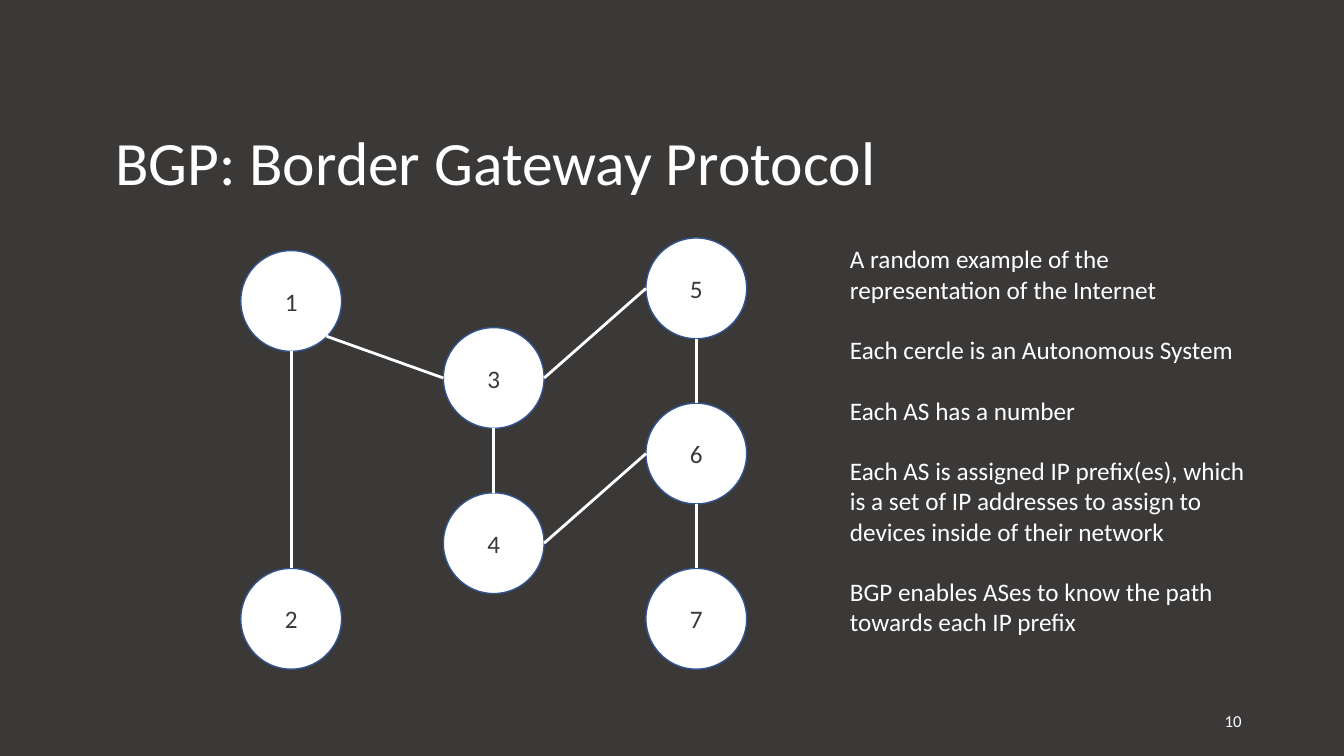
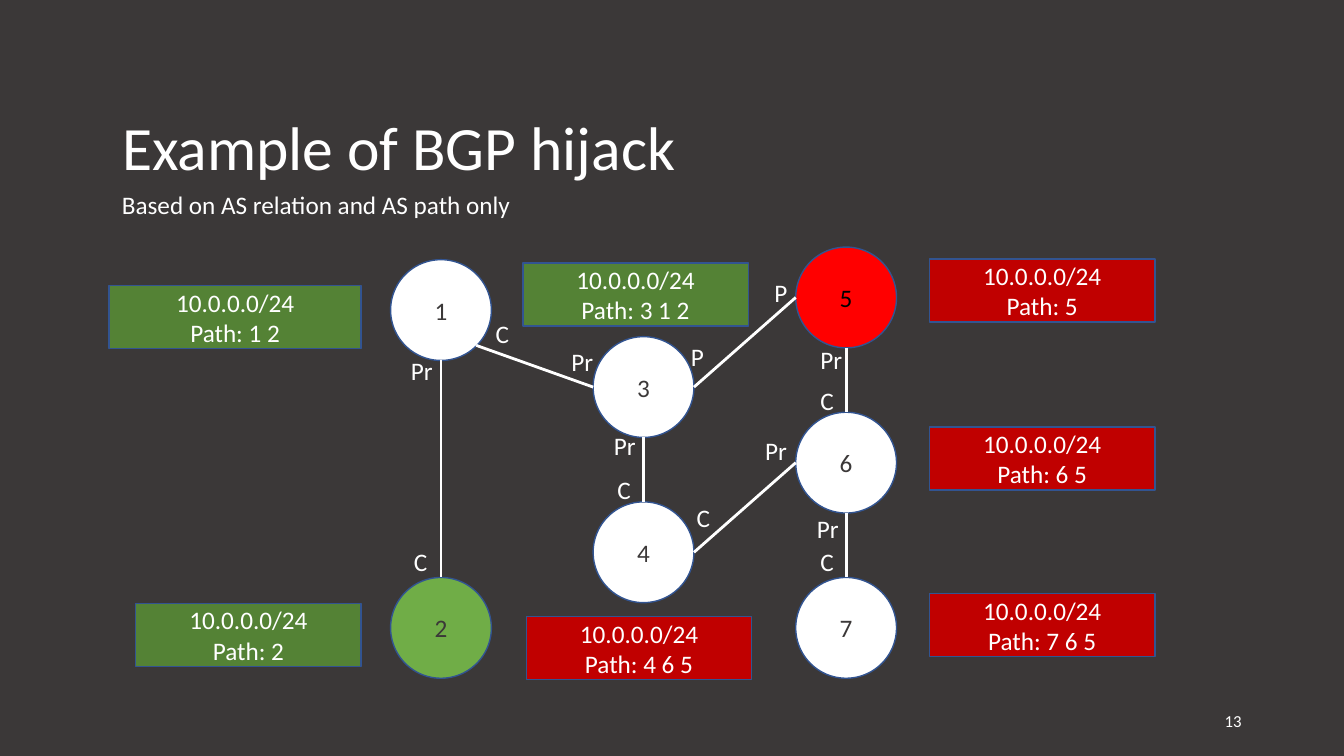
from lxml import etree
from pptx import Presentation
from pptx.dml.color import RGBColor
from pptx.enum.shapes import MSO_CONNECTOR, MSO_SHAPE
from pptx.enum.text import MSO_ANCHOR, MSO_AUTO_SIZE, PP_ALIGN
from pptx.oxml.ns import qn
from pptx.util import Pt

OVAL, RECT, LINE = MSO_SHAPE.OVAL, MSO_SHAPE.RECTANGLE, MSO_CONNECTOR.STRAIGHT
LEFT, CENTER, RIGHT = PP_ALIGN.LEFT, PP_ALIGN.CENTER, PP_ALIGN.RIGHT
TOP, MIDDLE = MSO_ANCHOR.TOP, MSO_ANCHOR.MIDDLE

COLORS = {
    "bg": "3B3838", "white": "FFFFFF", "black": "000000", "outline": "325491",
    "origin": "70AD47", "hijacker": "FF0000", "valid": "548235", "hijacked": "C00000",
}

# Text formats
FONT = {"name": "Calibri", "size": Pt(18)}
TITLE_FONT = {**FONT, "size": Pt(44)}
NUMBER_FONT = {**FONT, "size": Pt(12)}
FRAME = {"word_wrap": True, "auto_size": MSO_AUTO_SIZE.NONE}

# Network: three columns of nodes, stacked at one pitch
NODE, COL, PITCH = 72, 144.7, 118
NODES = {
    "1": (0, 0), "2": (0, 227),
    "3": (COL, 55), "4": (COL, 55 + PITCH),
    "5": (2 * COL, -9), "6": (2 * COL, -9 + PITCH), "7": (2 * COL, -9 + 2 * PITCH),
}
# Points on a node's rim, as fractions of its size
RIM = {"top": (0.5, 0), "left": (0, 0.5), "bottom": (0.5, 1), "right": (1, 0.5),
       "corner": (0.85, 0.85)}
LINKS = [
    ("1", "bottom", "2", "top"), ("3", "left", "1", "corner"),
    ("5", "left", "3", "right"), ("5", "bottom", "6", "top"),
    ("3", "bottom", "4", "top"), ("4", "right", "6", "left"),
    ("6", "bottom", "7", "top"),
]

NOTES = [
    "A random example of the representation of the Internet",
    "Each cercle is an Autonomous System",
    "Each AS has a number",
    "Each AS is assigned IP prefix(es), which is a set of IP addresses to assign to "
    "devices inside of their network",
    "BGP enables ASes to know the path towards each IP prefix",
]

# Route boxes: AS path, state, left, top, width
PREFIX = "10.0.0.0/24"
ROUTES = [
    ("2", "valid", 97, 431, 161), ("1 2", "valid", 78, 204, 180),
    ("3 1 2", "valid", 373.5, 188, 161), ("5", "hijacked", 664, 185, 161),
    ("4 6 5", "hijacked", 376, 440.5, 161), ("6 5", "hijacked", 664, 305, 161),
    ("7 6 5", "hijacked", 664, 424, 161),
]
# AS relations at the link ends: provider (Pr), customer (C), peer (P)
RELATIONS = [
    ("Pr", 286.5, 250.5), ("C", 288.5, 386.5), ("C", 347, 224), ("Pr", 401, 243.5),
    ("P", 486.5, 240), ("P", 546, 194.5), ("Pr", 579, 242.5), ("C", 579, 272),
    ("Pr", 431.5, 304), ("C", 434, 335.5), ("C", 490.5, 355.5), ("Pr", 539.5, 307.5),
    ("Pr", 576.5, 363), ("C", 579, 386.5),
]


def rgb(name):
    return RGBColor.from_string(COLORS[name])


def apply(target, formats):
    for key, value in formats.items():
        setattr(target, key, value)


def write(tf, lines, color="white", font=FONT, align=LEFT, anchor=MIDDLE, **spacing):
    apply(tf, {**FRAME, "vertical_anchor": anchor})
    for i, line in enumerate(lines):
        p = tf.paragraphs[0] if i == 0 else tf.add_paragraph()
        apply(p, {"alignment": align, **spacing})
        r = p.add_run()
        r.text = line
        apply(r.font, font)
        r.font.color.rgb = rgb(color)


def add_text(s, box, lines, **formats):
    sp = s.shapes.add_textbox(*map(Pt, box))
    write(sp.text_frame, lines, **formats)


def add_box(s, kind, box, lines, fill, color="white"):
    sp = s.shapes.add_shape(kind, *map(Pt, box))
    sp.shadow.inherit = False
    sp.fill.solid()
    sp.fill.fore_color.rgb = rgb(fill)
    sp.line.color.rgb = rgb("outline")
    sp.line.width = Pt(1)
    write(sp.text_frame, lines, color=color, align=CENTER)


def add_link(s, start, end):
    cxn = s.shapes.add_connector(LINE, *map(Pt, start + end))
    cxn.line.color.rgb = rgb("white")
    cxn.line.width = Pt(2)
    etree.SubElement(cxn._element.spPr, qn("a:effectLst"))


def add_network(s, left, top, special=None):
    """Draw the nodes and links; special maps a node to (fill, text colour)."""
    special = special or {}
    for name, (x, y) in NODES.items():
        fill, color = special.get(name, ("white", "bg"))
        add_box(s, OVAL, (left + x, top + y, NODE, NODE), [name], fill, color)

    def rim(name, side):
        (x, y), (fx, fy) = NODES[name], RIM[side]
        return left + x + fx * NODE, top + y + fy * NODE

    for a, a_side, b, b_side in LINKS:
        add_link(s, rim(a, a_side), rim(b, b_side))


def add_slide(prs, title, left, top, number):
    s = prs.slides.add_slide(prs.slide_layouts[5])
    sp = s.shapes.title
    apply(sp, dict(zip(("left", "top", "width", "height"),
                       map(Pt, (left, top, 800.5, 104.5)))))
    write(sp.text_frame, [title], font=TITLE_FONT, line_spacing=0.9)
    add_text(s, (678, 500.5, 216, 29), [number], font=NUMBER_FONT, align=RIGHT)
    return s


def build_overview(prs):
    s = add_slide(prs, "BGP: Border Gateway Protocol", 75, 66, "10")
    add_network(s, 172, 179)
    add_text(s, (600, 170.5, 301, 356), NOTES, anchor=TOP, space_after=Pt(21.6))


def build_hijack(prs):
    s = add_slide(prs, "Example of BGP hijack", 80, 55.5, "13")
    add_text(s, (80, 132, 424, 29), ["Based on AS relation and AS path only"], anchor=TOP)
    add_network(s, 279, 185.5, {"2": ("origin", "bg"), "5": ("hijacker", "black")})
    for route, state, x, y, width in ROUTES:
        add_box(s, RECT, (x, y, width, 45), [PREFIX, f"Path: {route}"], state)
    for relation, x, y in RELATIONS:
        add_text(s, (x, y, 36, 29), [relation], anchor=TOP)


def main():
    prs = Presentation()
    prs.slide_width, prs.slide_height = Pt(960), Pt(540)
    # Shared dark background
    bg = prs.slide_master.background.fill
    bg.solid()
    bg.fore_color.rgb = rgb("bg")
    build_overview(prs)
    build_hijack(prs)
    prs.save("out.pptx")


if __name__ == "__main__":
    main()
